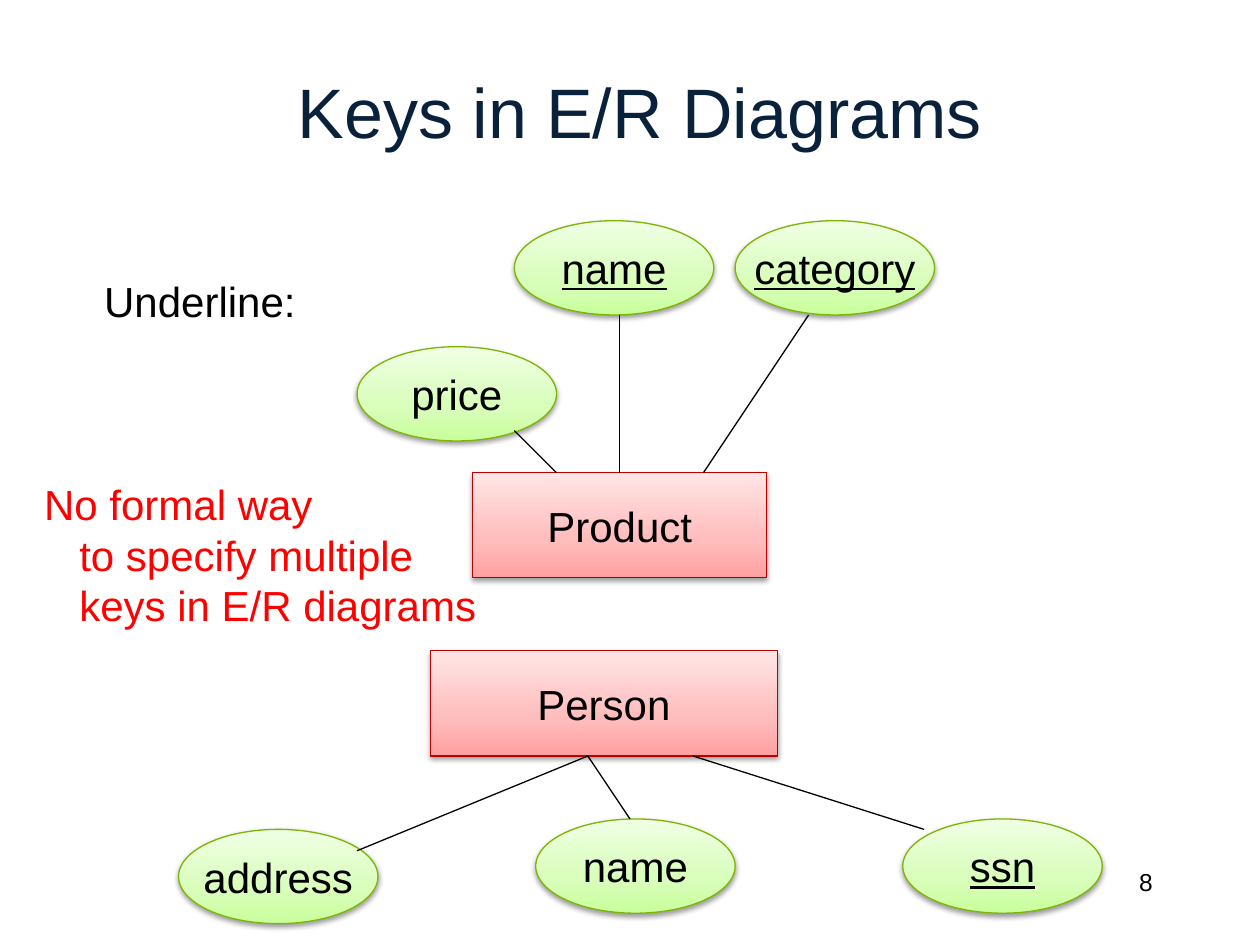
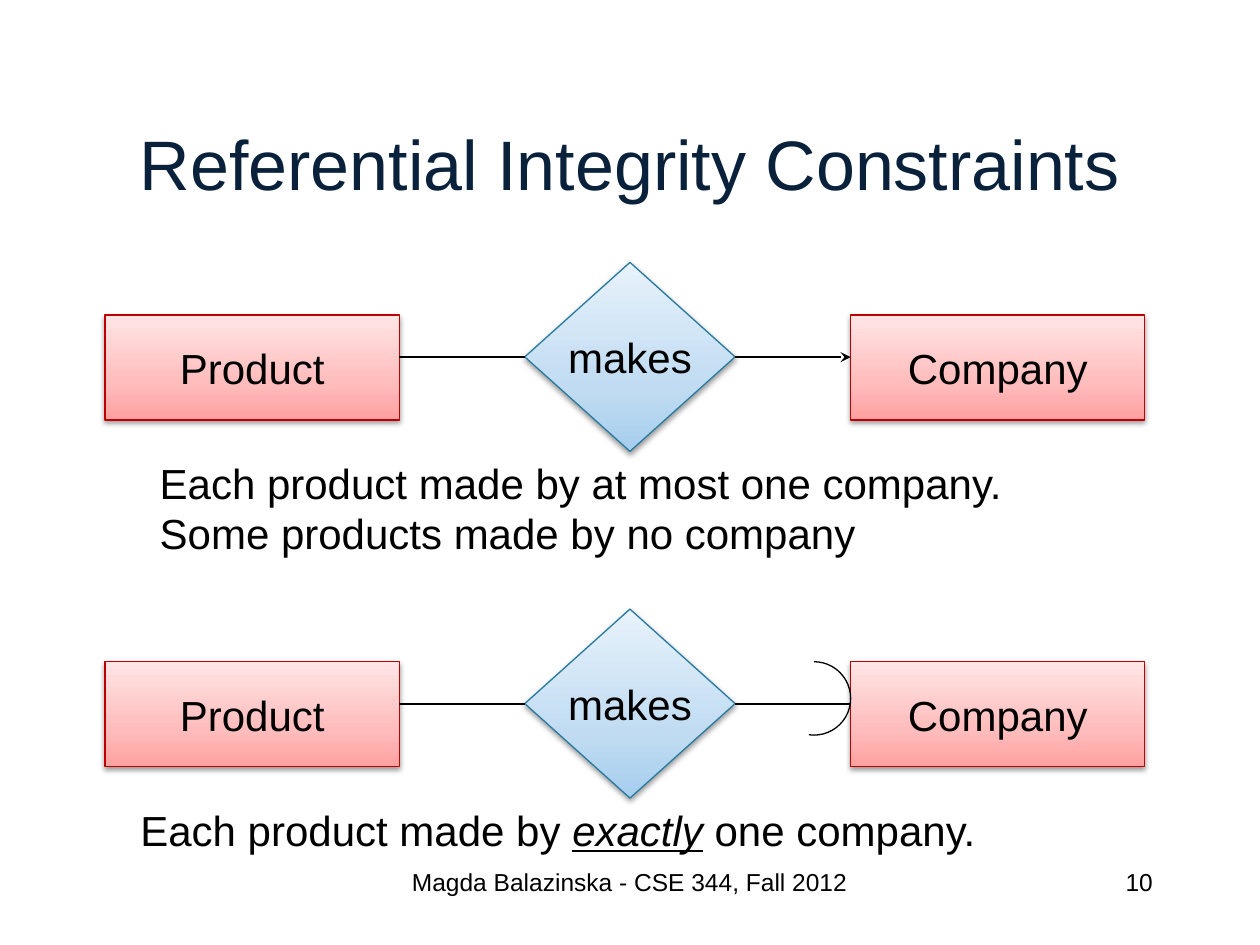
"""Two lecture slides on keys and referential integrity in E/R diagrams."""
from dataclasses import dataclass

from lxml import etree
from pptx import Presentation
from pptx.dml.color import RGBColor
from pptx.enum.shapes import MSO_CONNECTOR, MSO_SHAPE
from pptx.enum.text import MSO_ANCHOR, PP_ALIGN
from pptx.oxml.ns import qn
from pptx.util import Cm, Pt

ELLIPSE, RECT, DIAMOND, ARC = (
    MSO_SHAPE.OVAL, MSO_SHAPE.RECTANGLE, MSO_SHAPE.DIAMOND, MSO_SHAPE.ARC)
STRAIGHT = MSO_CONNECTOR.STRAIGHT
LEFT, CENTER, RIGHT = PP_ALIGN.LEFT, PP_ALIGN.CENTER, PP_ALIGN.RIGHT
TOP, MIDDLE = MSO_ANCHOR.TOP, MSO_ANCHOR.MIDDLE

BLACK, RED, NAVY = "000000", "FF0000", "09213B"
LINE_WIDTH = 0.75
BODY = {"name": "Arial", "size": Pt(24)}
TITLE = {"name": "Arial", "size": Pt(40)}
FOOTER = {"name": "Arial", "size": Pt(14)}
UNDERLINE = {"underline": True}
EMPHASIS = {"underline": True, "italic": True}


@dataclass(frozen=True)
class Kind:
    """Look of one kind of E/R element; stops run from bottom to top."""
    preset: int
    height: float
    outline: str
    stops: tuple[str, str, str]


@dataclass(frozen=True)
class Node:
    """One element of an E/R diagram, in centimetres."""
    kind: Kind
    label: str
    left: float
    top: float
    width: float
    key: bool = False


ATTRIBUTE = Kind(ELLIPSE, 1.9, "7DB602", ("C9FF9C", "D8FEBA", "F0FFE4"))
ENTITY = Kind(RECT, 2.12, "BC0000", ("FFA0A0", "FFBCBC", "FFE5E5"))
RELATION = Kind(DIAMOND, 3.81, "287A9E", ("A6CEEE", "C1DCF2", "E7F2FB"))
STOP_POSITIONS = (0, 35000, 100000)
ATTRIBUTE_W, ENTITY_W, PERSON_W, RELATION_W = 4.02, 5.93, 6.99, 4.24


def rgb(hex_color: str) -> RGBColor:
    """Turn a hex string into a colour."""
    return RGBColor.from_string(hex_color)


def sub(parent, tag: str, **attrs):
    """Append a DrawingML child element."""
    return etree.SubElement(
        parent, qn(tag), {name: str(value) for name, value in attrs.items()})


def add_run(p, text: str, font: dict, color: str = BLACK) -> None:
    """Append a formatted run to a paragraph."""
    r = p.add_run()
    r.text = text
    for name, value in font.items():
        setattr(r.font, name, value)
    r.font.color.rgb = rgb(color)


def add_text(s, box: tuple, paragraphs: list, font: dict = BODY,
             color: str = BLACK, align=LEFT, anchor=TOP,
             indent: float = 0) -> None:
    """Add a text box; a paragraph is a list of (text, extra format) runs.

    Every paragraph after the first is indented.
    """
    tf = s.shapes.add_textbox(*map(Cm, box)).text_frame
    tf.word_wrap = font is not BODY
    tf.vertical_anchor = anchor
    for i, runs in enumerate(paragraphs):
        p = tf.add_paragraph() if i else tf.paragraphs[0]
        p.alignment = align
        if i and indent:
            p._p.get_or_add_pPr().set("marL", str(Cm(indent)))
        for text, extra in runs:
            add_run(p, text, font | extra, color)


def set_gradient(sp, stops: tuple) -> None:
    """Fill a shape with a three-stop gradient rising from the bottom."""
    sp.fill.gradient()
    sp.fill.gradient_angle = 90
    stop_list = sp._element.spPr.find(".//" + qn("a:gsLst"))
    for old in list(stop_list):
        stop_list.remove(old)
    for pos, color in zip(STOP_POSITIONS, stops):
        sub(sub(stop_list, "a:gs", pos=pos), "a:srgbClr", val=color)


def set_shadow(sp) -> None:
    """Give a shape a soft shadow below it."""
    sp.shadow.inherit = False
    effects = sp._element.spPr.find(qn("a:effectLst"))
    shadow = sub(effects, "a:outerShdw", blurRad=40000, dist=20000,
                 dir=5400000, rotWithShape=0)
    sub(sub(shadow, "a:srgbClr", val=BLACK), "a:alpha", val=38000)


def set_line(line, color: str) -> None:
    """Set the colour and the common width of a line."""
    line.color.rgb = rgb(color)
    line.width = Pt(LINE_WIDTH)


def add_node(s, node: Node) -> None:
    """Draw an E/R element; the label of a key is underlined."""
    kind = node.kind
    sp = s.shapes.add_shape(kind.preset, Cm(node.left), Cm(node.top),
                            Cm(node.width), Cm(kind.height))
    set_gradient(sp, kind.stops)
    set_line(sp.line, kind.outline)
    set_shadow(sp)
    tf = sp.text_frame
    tf.word_wrap = False
    tf.vertical_anchor = MIDDLE
    p = tf.paragraphs[0]
    p.alignment = CENTER
    add_run(p, node.label, BODY | (UNDERLINE if node.key else {}))


def add_line(s, x1: float, y1: float, x2: float, y2: float,
             arrow: bool = False) -> None:
    """Draw a thin black line, with an arrowhead at its end if asked."""
    line = s.shapes.add_connector(STRAIGHT, Cm(x1), Cm(y1), Cm(x2), Cm(y2))
    set_line(line.line, BLACK)
    if arrow:
        sub(line.line._get_or_add_ln(), "a:tailEnd", type="stealth")
    sub(line._element.spPr, "a:effectLst")


def add_half_circle(s, right: float, top: float, size: float) -> None:
    """Draw the rounded head that means exactly one."""
    sp = s.shapes.add_shape(ARC, Cm(right - size), Cm(top), Cm(size), Cm(size))
    sp.adjustments[0] = 162  # 270 degrees, in units of 5/3 degree
    sp.adjustments[1] = 58.8  # 98 degrees
    sp.fill.background()
    set_line(sp.line, BLACK)
    sp.shadow.inherit = False


def add_slide(prs, title: str, left: float, top: float, number: int):
    """Add a blank slide with its title and number."""
    s = prs.slides.add_slide(prs.slide_layouts[6])
    add_text(s, (left, top, 21.59, 3.18), [[(title, {})]], TITLE, NAVY,
             CENTER, MIDDLE)
    add_text(s, (18.2, 17.36, 5.29, 1.27), [[(str(number), {})]], FOOTER,
             align=RIGHT)
    return s


def build_keys(prs) -> None:
    """Build the slide on keys."""
    s = add_slide(prs, "Keys in E/R Diagrams", 2.1, 0.64, 8)
    for node in (
        Node(ATTRIBUTE, "address", 3.6, 16.72, ATTRIBUTE_W),
        Node(ATTRIBUTE, "name", 10.8, 16.51, ATTRIBUTE_W),
        Node(ATTRIBUTE, "ssn", 18.2, 16.51, ATTRIBUTE_W, key=True),
        Node(ENTITY, "Person", 8.68, 13.12, PERSON_W),
        Node(ENTITY, "Product", 9.53, 9.53, ENTITY_W),
        Node(ATTRIBUTE, "name", 10.37, 4.45, ATTRIBUTE_W, key=True),
        Node(ATTRIBUTE, "category", 14.82, 4.45, ATTRIBUTE_W, key=True),
        Node(ATTRIBUTE, "price", 7.2, 6.99, ATTRIBUTE_W),
    ):
        add_node(s, node)
    product_top, person_bottom = 9.53, 15.24
    for x1, x2, y2 in ((11.22, 10.37, 8.68), (12.49, 12.49, 6.35),
                       (14.18, 16.3, 6.35)):
        add_line(s, x1, product_top, x2, y2)
    for x1, x2, y2 in ((11.85, 7.2, 17.15), (11.85, 12.7, 16.51),
                       (13.97, 18.63, 16.72)):
        add_line(s, x1, person_bottom, x2, y2)
    add_text(s, (0.64, 9.53, 9.3, 3.33),
             [[("No formal way", {})], [("to specify multiple", {})],
              [("keys in E/R diagrams", {})]], color=RED, indent=0.71)
    add_text(s, (1.85, 5.42, 4.42, 1.27), [[("Underline:", {})]])


def build_integrity(prs) -> None:
    """Build the slide on referential integrity."""
    s = add_slide(prs, "Referential Integrity Constraints", 1.9, 1.69, 10)
    product_x, makes_x, company_x = 2.12, 10.58, 17.15
    for top, exactly_one in ((6.35, False), (13.34, True)):
        add_node(s, Node(ENTITY, "Company", company_x, top, ENTITY_W))
        add_node(s, Node(ENTITY, "Product", product_x, top, ENTITY_W))
        add_node(s, Node(RELATION, "makes", makes_x, top - 1.06, RELATION_W))
        y = top + 0.85
        add_line(s, makes_x, y, product_x + ENTITY_W, y)
        add_line(s, makes_x + RELATION_W, y, company_x, y,
                 arrow=not exactly_one)
        if exactly_one:
            add_half_circle(s, company_x, top, 1.48)
    add_text(s, (2.97, 9.1, 17.65, 2.31),
             [[("Each product made by at most one company.", {})],
              [("Some products made by no company", {})]])
    add_text(s, (2.58, 16.09, 17.5, 1.27),
             [[("Each product made by ", {}), ("exactly", EMPHASIS),
               (" one company.", {})]])
    add_text(s, (8.04, 17.36, 9.31, 1.27),
             [[("Magda Balazinska - CSE 344, Fall 2012", {})]], FOOTER,
             align=CENTER)


def main() -> None:
    """Build and save the deck."""
    prs = Presentation()
    prs.slide_width, prs.slide_height = Cm(25.4), Cm(19.05)
    build_keys(prs)
    build_integrity(prs)
    prs.save("out.pptx")


main()
